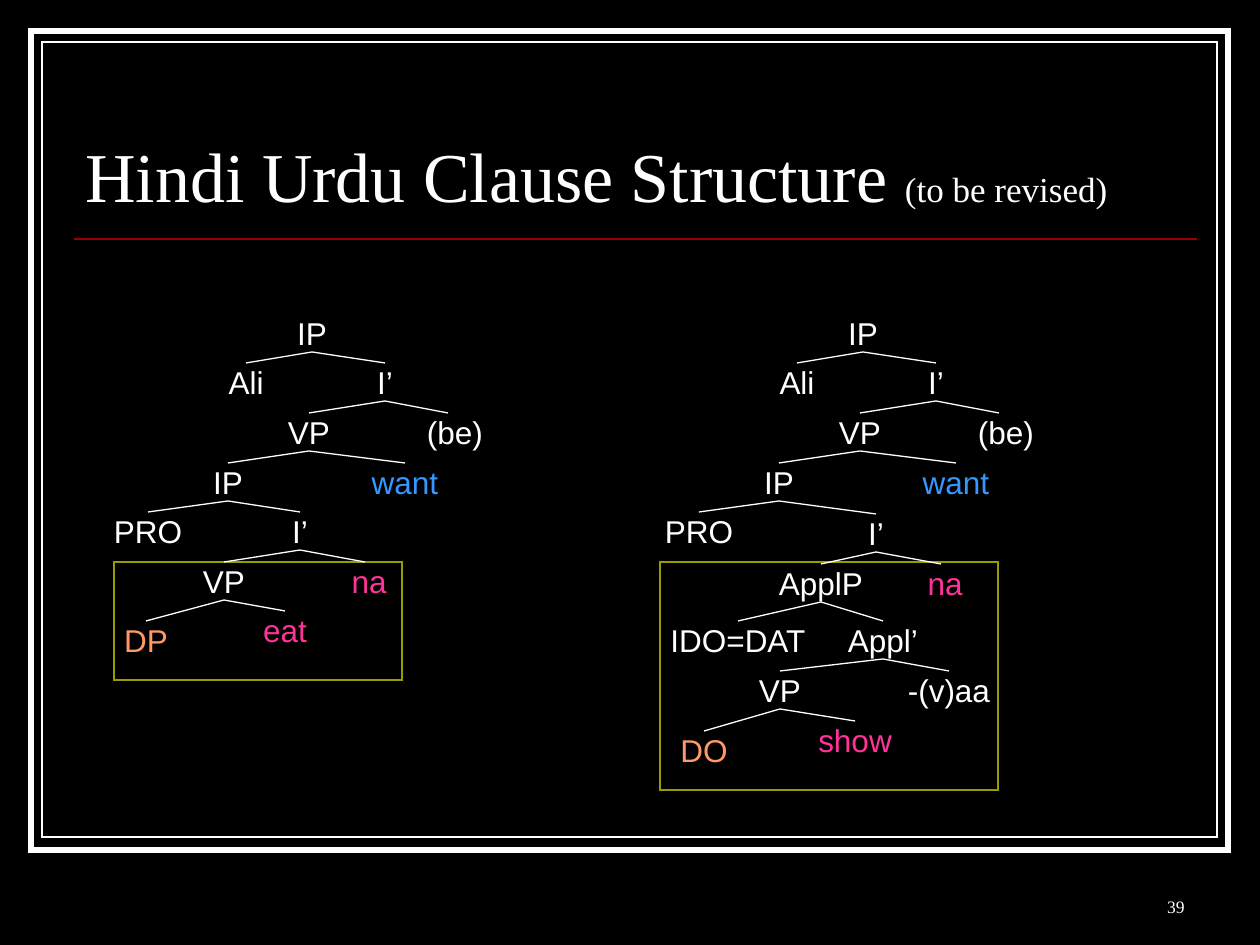
from dataclasses import dataclass

from lxml import etree
from pptx import Presentation
from pptx.dml.color import RGBColor
from pptx.enum.shapes import MSO_CONNECTOR, MSO_SHAPE
from pptx.enum.text import MSO_ANCHOR, MSO_AUTO_SIZE, PP_ALIGN
from pptx.oxml.ns import qn
from pptx.util import Pt

RECT = MSO_SHAPE.RECTANGLE
STRAIGHT = MSO_CONNECTOR.STRAIGHT
MIDDLE, BOTTOM = MSO_ANCHOR.MIDDLE, MSO_ANCHOR.BOTTOM
LEFT, CENTER, RIGHT = PP_ALIGN.LEFT, PP_ALIGN.CENTER, PP_ALIGN.RIGHT
FIT, FIXED = MSO_AUTO_SIZE.SHAPE_TO_FIT_TEXT, MSO_AUTO_SIZE.NONE

EMU_PER_PX = 914400 / 126
COLORS = {
    "black": "000000", "white": "FFFFFF", "red": "990000", "olive": "999900",
    "blue": "3399FF", "pink": "FF3399", "orange": "FF9966",
}
SERIF, SANS = "Times New Roman", "Arial"
LABEL_H = 38
LABEL_SLACK = 6  # spare width that keeps each label on one line
LABEL_W = {
    "IP": 30, "I’": 16, "VP": 42, "DP": 44, "DO": 48, "Ali": 35, "PRO": 68,
    "(be)": 57, "want": 67, "eat": 44, "na": 35, "show": 73, "ApplP": 84,
    "Appl’": 71, "IDO=DAT": 137, "-(v)aa": 82,
}


@dataclass(frozen=True)
class Box:
    x: int
    y: int
    w: int
    h: int
    line: str
    weight: float
    fill: str | None = None


@dataclass(frozen=True)
class Node:
    """A label centred on x with its top at y; branches drop to its children."""
    text: str
    x: int
    y: int
    children: tuple["Node", ...] = ()
    color: str = "white"
    tip: int = 0  # shift of the branch end from the label centre


def px(n: float) -> int:
    return round(n * EMU_PER_PX)


def rgb(name: str) -> RGBColor:
    return RGBColor.from_string(COLORS[name])


def add_box(slide, box: Box) -> None:
    sp = slide.shapes.add_shape(RECT, px(box.x), px(box.y), px(box.w), px(box.h))
    sp.shadow.inherit = False
    if box.fill:
        sp.fill.solid()
        sp.fill.fore_color.rgb = rgb(box.fill)
    else:
        sp.fill.background()
    sp.line.color.rgb = rgb(box.line)
    sp.line.width = Pt(box.weight)
    # Square corners
    etree.SubElement(sp._element.spPr.find(qn("a:ln")), qn("a:miter"), lim="800000")


def add_line(slide, x1: int, y1: int, x2: int, y2: int,
             color: str = "white", weight: float = 0.75) -> None:
    cn = slide.shapes.add_connector(STRAIGHT, px(x1), px(y1), px(x2), px(y2))
    cn.line.color.rgb = rgb(color)
    cn.line.width = Pt(weight)
    etree.SubElement(cn._element.spPr, qn("a:effectLst"))


def add_text(slide, x: float, y: int, w: int, h: int, runs: list[tuple[str, int]],
             font: str, color: str, frame: dict, para: dict) -> None:
    tf = slide.shapes.add_textbox(px(x), px(y), px(w), px(h)).text_frame
    for name, value in frame.items():
        setattr(tf, name, value)
    p = tf.paragraphs[0]
    for name, value in para.items():
        setattr(p, name, value)
    for text, size in runs:
        r = p.add_run()
        r.text = text
        for name, value in {"name": font, "size": Pt(size)}.items():
            setattr(r.font, name, value)
        r.font.color.rgb = rgb(color)


LABEL_FRAME = {
    "word_wrap": False, "auto_size": FIT, "vertical_anchor": MIDDLE,
    "margin_left": 0, "margin_right": 0, "margin_top": 0, "margin_bottom": 0,
}
BLOCK_FRAME = {"word_wrap": True, "auto_size": FIXED, "vertical_anchor": BOTTOM}


def add_tree(slide, node: Node) -> None:
    w = LABEL_W[node.text] + LABEL_SLACK
    add_text(slide, node.x - w / 2, node.y, w, LABEL_H, [(node.text, 18)],
             SANS, node.color, LABEL_FRAME, {"alignment": CENTER})
    for child in node.children:
        add_line(slide, node.x, node.y + LABEL_H, child.x + child.tip, child.y)
        add_tree(slide, child)


def clause(dx: int, inner: Node) -> Node:
    """The upper part that both trees share, shifted right by dx."""
    low_ip = Node("IP", dx + 228, 463, (Node("PRO", dx + 148, 512), inner))
    vp = Node("VP", dx + 309, 413, (low_ip, Node("want", dx + 405, 463, color="blue")))
    i_bar = Node("I’", dx + 385, 363, (vp, Node("(be)", dx + 455, 413, tip=-7)))
    return Node("IP", dx + 312, 314, (Node("Ali", dx + 246, 363), i_bar))


# Lower part of each tree
EAT = Node("I’", 300, 512, (
    Node("VP", 224, 562, (
        Node("DP", 146, 621, color="orange"),
        Node("eat", 285, 611, color="pink"))),
    Node("na", 369, 562, color="pink", tip=-4)))

SHOW = Node("I’", 876, 514, (
    Node("ApplP", 821, 564, (
        Node("IDO=DAT", 738, 621),
        Node("Appl’", 883, 621, (
            Node("VP", 780, 671, (
                Node("DO", 704, 731, color="orange"),
                Node("show", 855, 721, color="pink"))),
            Node("-(v)aa", 949, 671))))),
    Node("na", 945, 564, color="pink", tip=-4)))

FRAMES = [
    Box(31, 31, 1197, 819, "white", 3.5, "black"),
    Box(42, 42, 1175, 795, "white", 0.75, "black"),
]
HIGHLIGHTS = [
    Box(114, 562, 288, 118, "olive", 0.75),
    Box(660, 562, 338, 228, "olive", 0.75),
]


def main() -> None:
    prs = Presentation()
    prs.slide_width, prs.slide_height = px(1260), px(945)
    slide = prs.slides.add_slide(prs.slide_layouts[6])
    slide.background.fill.solid()
    slide.background.fill.fore_color.rgb = rgb("black")

    # Frame and title
    for box in FRAMES:
        add_box(slide, box)
    add_line(slide, 74, 239, 1197, 239, "red", 1)
    add_text(slide, 73, 65, 1124, 157,
             [("Hindi Urdu Clause Structure ", 40), ("(to be revised)", 20)],
             SERIF, "white", BLOCK_FRAME, {"alignment": LEFT, "line_spacing": 0.8})

    # Syntax trees
    for box in HIGHLIGHTS:
        add_box(slide, box)
    for tree in (clause(0, EAT), clause(551, SHOW)):
        add_tree(slide, tree)

    # Slide number
    add_text(slide, 935, 860, 262, 63, [("39", 10)], SERIF, "white",
             BLOCK_FRAME, {"alignment": RIGHT})
    prs.save("out.pptx")


if __name__ == "__main__":
    main()
